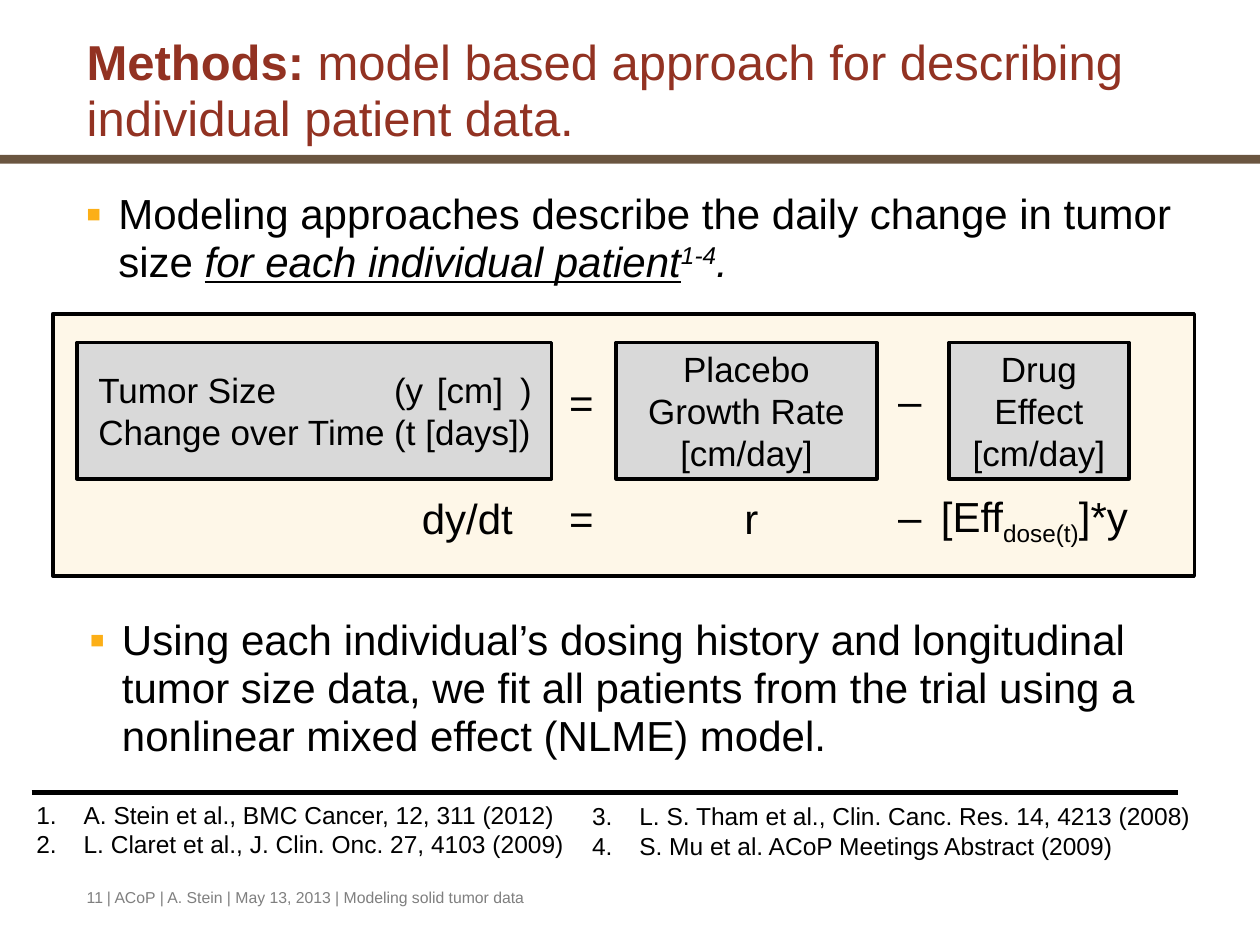
from lxml import etree
from pptx import Presentation
from pptx.dml.color import RGBColor
from pptx.enum.shapes import MSO_CONNECTOR, MSO_SHAPE
from pptx.enum.text import MSO_ANCHOR, PP_ALIGN
from pptx.oxml.ns import qn
from pptx.util import Pt

RECTANGLE = MSO_SHAPE.RECTANGLE
TOP, MIDDLE, BOTTOM = MSO_ANCHOR.TOP, MSO_ANCHOR.MIDDLE, MSO_ANCHOR.BOTTOM
LEFT, CENTER = PP_ALIGN.LEFT, PP_ALIGN.CENTER
BLACK, WHITE, GREY, RED = "000000", "FFFFFF", "7F7F7F", "923222"
BROWN, CREAM, SILVER, ORANGE = "6A5540", "FEF7E8", "D9D9D9", "FCAF17"

presentation = Presentation()
presentation.slide_width, presentation.slide_height = Pt(720), Pt(540)
slide = presentation.slides.add_slide(presentation.slide_layouts[6])


def add_rectangle(left, top, width, height, fill, outlined=False):
    shape = slide.shapes.add_shape(RECTANGLE, Pt(left), Pt(top), Pt(width), Pt(height))
    shape.shadow.inherit = False
    shape.fill.solid()
    shape.fill.fore_color.rgb = RGBColor.from_string(fill)
    if outlined:
        shape.line.color.rgb = RGBColor.from_string(BLACK)
        shape.line.width = Pt(2)
    else:
        shape.line.fill.background()
    return shape


def write(shape, paragraphs, size=24, color=BLACK, align=LEFT, anchor=TOP,
          spacing=None, indent=0, marks=()):
    """Fill a shape with paragraphs, each a list of (text, run attributes).

    marks holds (tag, attributes, child) for bullet and tab elements,
    where child is None or a list of tab positions in points.
    """
    frame = shape.text_frame
    frame.word_wrap = True
    frame.vertical_anchor = anchor
    for index, runs in enumerate(paragraphs):
        paragraph = frame.paragraphs[0] if index == 0 else frame.add_paragraph()
        properties = paragraph._p.get_or_add_pPr()
        if indent:
            properties.set("marL", str(Pt(indent)))
            properties.set("indent", str(-Pt(indent)))
        for tag, attributes, stops in marks:
            mark = etree.SubElement(properties, qn(tag), attributes)
            for stop in stops or ():
                etree.SubElement(mark, qn("a:tab"), pos=str(Pt(stop)), algn="l")
        paragraph.alignment = align
        paragraph.line_spacing = spacing
        for text, attributes in runs:
            run = paragraph.add_run()
            run.text = text
            run.font.name = "Arial"
            run.font.size = Pt(size)
            run.font.color.rgb = RGBColor.from_string(color)
            for name, value in attributes.items():
                run.font._element.set(name, value)


# Title and rule
add_rectangle(0, 88.5, 720, 5, BROWN)
add_rectangle(30.2, 179.3, 652.3, 149.8, CREAM, outlined=True)
title = slide.shapes.add_textbox(Pt(42.5), Pt(48.2), Pt(653), Pt(39.6))
write(title, [[("Methods: ", {"b": "1"}),
               ("model based approach for describing individual patient data.", {})]],
      size=28, color=RED, anchor=BOTTOM, spacing=0.95)

# Bulleted statements
square_bullet = [
    ("a:buClr", {}, None),
    ("a:buSzPct", {"val": "110000"}, None),
    ("a:buFont", {"typeface": "Arial"}, None),
    ("a:buChar", {"char": "▪"}, None),
]
statements = [
    (41.8, 105.8, 654.5, 335.5, [
        ("Modeling approaches describe the daily change in tumor size ", {}),
        ("for each individual patient", {"i": "1", "u": "sng"}),
        ("1-4", {"i": "1", "baseline": "30000"}),
        (".", {"i": "1"})]),
    (43.9, 349.2, 661, 67, [
        ("Using each individual’s dosing history and longitudinal tumor size data, "
         "we fit all patients from the trial using a nonlinear mixed effect (NLME) model.",
         {})]),
]
for left, top, width, height, runs in statements:
    statement = slide.shapes.add_textbox(Pt(left), Pt(top), Pt(width), Pt(height))
    write(statement, [runs], spacing=0.95, indent=18.7, marks=square_bullet)
    for bullet_color in statement._element.iter(qn("a:buClr")):
        etree.SubElement(bullet_color, qn("a:srgbClr"), val=ORANGE)

# Equation in words
tab_stops = [("a:tabLst", {}, [169, 193.5, 241])]
terms = [
    (43.9, 271.4, ["Tumor Size\t(y\t[cm]\t)", "Change over Time (t [days])"], LEFT, tab_stops),
    (352.1, 149, ["Placebo", "Growth Rate [cm/day]"], CENTER, ()),
    (542.2, 103, ["Drug", "Effect", "[cm/day]"], CENTER, ()),
]
for left, width, lines, align, marks in terms:
    term = add_rectangle(left, 195.8, width, 77.8, SILVER, outlined=True)
    write(term, [[(line, {})] for line in lines], size=20, align=align,
          anchor=MIDDLE, marks=marks)
    if align == LEFT:
        term.text_frame.margin_left = Pt(12.3)

# Equation in symbols
symbols = [
    (318.2, 211.7, 28.8, [("=", {})]),
    (506.2, 210.2, 28, [("–", {})]),
    (234, 277.9, 82, [("dy/dt", {})]),
    (318.2, 277.9, 28.8, [("=", {})]),
    (418.3, 277.9, 29.5, [("r", {})]),
    (506.2, 276.5, 28, [("–", {})]),
    (530.6, 276.5, 128.9, [("[Eff", {}), ("dose(t)", {"baseline": "-25000"}), ("]*y", {})]),
]
for left, top, width, runs in symbols:
    symbol = slide.shapes.add_textbox(Pt(left), Pt(top), Pt(width), Pt(36.7))
    write(symbol, [runs])

# Footer
for left, width, text in [
    (42.5, 31.7, "11"),
    (54, 509.8, "| ACoP | A. Stein | May 13, 2013 | Modeling solid tumor data"),
]:
    footer = slide.shapes.add_textbox(Pt(left), Pt(504), Pt(width), Pt(19.4))
    write(footer, [[(text, {})]], size=9, color=GREY)

# References
references = [
    (13.7, 453.6, 388.8, 1, ["A. Stein et al., BMC Cancer, 12, 311 (2012)",
                             "L. Claret et al., J. Clin. Onc. 27, 4103 (2009)"]),
    (331.2, 454.3, 361.4, 3, ["L. S. Tham et al., Clin. Canc. Res. 14, 4213 (2008)",
                              "S. Mu et al. ACoP Meetings Abstract (2009)"]),
]
for left, top, width, start, lines in references:
    numbering = [("a:buFont", {"typeface": "Arial"}, None),
                 ("a:buAutoNum", {"type": "arabicPeriod", "startAt": str(start)}, None)]
    reference = add_rectangle(left, top, width, 41, WHITE)
    write(reference, [[(line, {})] for line in lines], size=14, indent=27,
          marks=numbering)

separator = slide.shapes.add_connector(
    MSO_CONNECTOR.STRAIGHT, Pt(18), Pt(453), Pt(673), Pt(453))
separator.line.color.rgb = RGBColor.from_string(BLACK)
separator.line.width = Pt(3)
etree.SubElement(separator._element.spPr, qn("a:effectLst"))

presentation.save("out.pptx")
